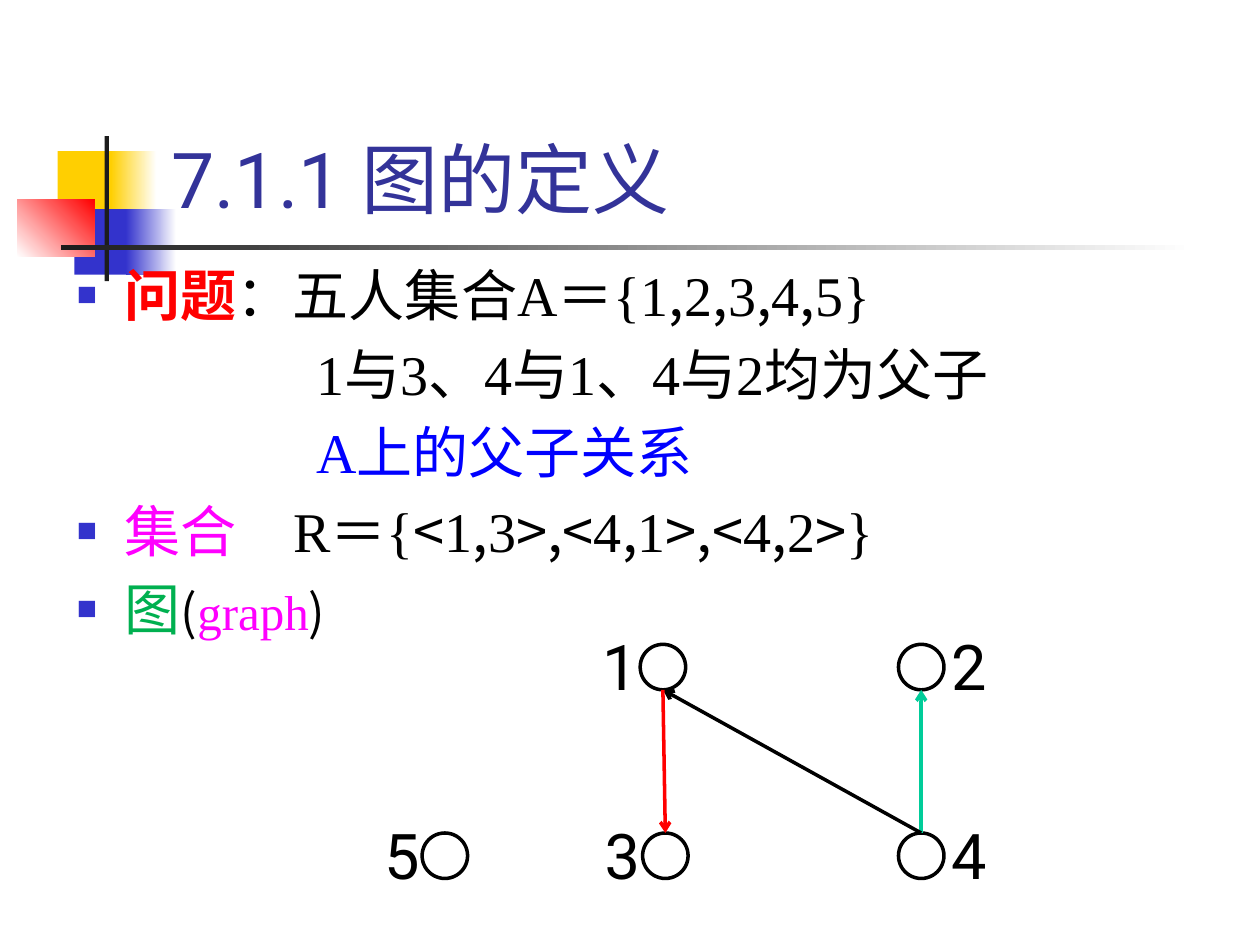
from dataclasses import dataclass
from itertools import groupby

from lxml.etree import SubElement
from pptx import Presentation
from pptx.dml.color import RGBColor
from pptx.enum.shapes import MSO_CONNECTOR, MSO_SHAPE
from pptx.enum.text import MSO_ANCHOR, MSO_AUTO_SIZE, PP_ALIGN
from pptx.oxml.ns import qn
from pptx.util import Pt


@dataclass(frozen=True)
class Theme:
    sans: str = "Roboto"
    serif: str = "Times New Roman"
    cjk: str = "Noto Sans CJK SC"
    title_size: int = 44
    label_size: int = 36
    body_size: int = 32
    small_size: int = 28
    black: str = "000000"
    white: str = "FFFFFF"
    dark: str = "1C1C1C"
    title: str = "333399"
    blue: str = "3333CC"
    yellow: str = "FFCF01"
    red: str = "FF0000"
    relation: str = "0000FF"
    magenta: str = "FF00FF"
    green: str = "00B050"
    teal: str = "00CC99"


THEME = Theme()

TITLE = "7.1.1 图的定义"
# Each line: bulleted or not, then (text, colour, size, bold) pieces
BODY = [
    (True, [("问题", THEME.red, THEME.body_size, True),
            ("：五人集合A＝{1,2,3,4,5}", THEME.black, THEME.body_size, False)]),
    (False, [("1与3、4与1、4与2均为父子", THEME.black, THEME.body_size, False)]),
    (False, [("A上的父子关系", THEME.relation, THEME.body_size, False)]),
    (True, [("集合\u3000", THEME.magenta, THEME.body_size, False),
            ("R＝{<1,3>,<4,1>,<4,2>}", THEME.black, THEME.body_size, False)]),
    (True, [("图", THEME.green, THEME.body_size, False),
            ("(", THEME.black, THEME.small_size, False),
            ("graph", THEME.magenta, THEME.small_size, False),
            (")", THEME.black, THEME.small_size, False)]),
]

# Left, top, width, height, fill colours (two make a gradient), gradient angle
ORNAMENTS = [
    (33, 86.4, 34.6, 37.4, [THEME.yellow], 0),
    (63.4, 86.4, 26, 37.4, [THEME.yellow, THEME.white], 0),
    (42.5, 119.5, 33, 37.4, [THEME.blue], 0),
    (72, 119.5, 28.8, 37.4, [THEME.blue, THEME.white], 0),
    (10, 113.8, 44, 33, [THEME.white, THEME.red], 45),
    (59.8, 77.8, 2.4, 82.8, [THEME.dark], 0),
    (34.6, 140.2, 648, 2.4, [THEME.dark, THEME.white], 0),
]

UPPER_ROW, LOWER_ROW = 368.2, 476
NODE_SIZE = 26
LABEL_OFFSET = {"left": -28.8, "right": 23}
LABEL_RISE = 13
# Node: left, top, side of its label
NODES = {
    "1": (365.8, UPPER_ROW, "left"),
    "2": (513.4, UPPER_ROW, "right"),
    "3": (367.2, LOWER_ROW, "left"),
    "4": (513.4, LOWER_ROW, "right"),
    "5": (241.2, LOWER_ROW, "left"),
}
EDGES = [("4", "2", THEME.teal), ("4", "1", THEME.black), ("1", "3", THEME.red)]

HANGING = 27.4
CONTINUATION_INDENT = 136.8


def rgb(colour):
    return RGBColor.from_string(colour)


def add_run(paragraph, text, font, size, colour, bold=False):
    run = paragraph.add_run()
    run.text = text
    run.font.name = font
    run.font.size = Pt(size)
    run.font.bold = bold
    run.font.color.rgb = rgb(colour)
    SubElement(run.font._element, qn("a:ea"), typeface=THEME.cjk)


def set_indent(paragraph, margin, first_line):
    props = paragraph._p.get_or_add_pPr()
    props.set("marL", str(Pt(margin)))
    props.set("indent", str(Pt(first_line)))
    return props


def place(shape, left, top, width, height):
    shape.left, shape.top = Pt(left), Pt(top)
    shape.width, shape.height = Pt(width), Pt(height)


def add_ornament(slide, left, top, width, height, colours, angle):
    block = slide.shapes.add_shape(
        MSO_SHAPE.RECTANGLE, Pt(left), Pt(top), Pt(width), Pt(height))
    block.shadow.inherit = False
    block.line.fill.background()
    if len(colours) == 1:
        block.fill.solid()
        block.fill.fore_color.rgb = rgb(colours[0])
        return
    block.fill.gradient()
    block.fill.gradient_angle = angle
    for stop, colour in zip(block.fill.gradient_stops, colours):
        stop.color.rgb = rgb(colour)


def fill_title(title):
    place(title, 90.7, 16.6, 613.4, 115.2)
    frame = title.text_frame
    frame.auto_size = MSO_AUTO_SIZE.NONE
    frame.vertical_anchor = MSO_ANCHOR.BOTTOM
    heading = frame.paragraphs[0]
    set_indent(heading, HANGING, -HANGING)
    heading.alignment = PP_ALIGN.LEFT
    heading.line_spacing = 2.0
    heading.space_before = Pt(0)
    add_run(heading, TITLE, THEME.sans, THEME.title_size, THEME.title)


def add_bullet(paragraph):
    props = set_indent(paragraph, HANGING, -HANGING)
    SubElement(SubElement(props, qn("a:buClr")), qn("a:srgbClr"), val=THEME.blue)
    SubElement(props, qn("a:buSzPct"), val="60000")
    SubElement(props, qn("a:buChar"), char="■")


def fill_body(body):
    place(body, 36.7, 145.4, 683.3, 394.6)
    frame = body.text_frame
    frame.auto_size = MSO_AUTO_SIZE.NONE
    for index, (bulleted, pieces) in enumerate(BODY):
        line = frame.add_paragraph() if index else frame.paragraphs[0]
        if bulleted:
            add_bullet(line)
        else:
            SubElement(set_indent(line, CONTINUATION_INDENT, 0), qn("a:buNone"))
        line.space_before = Pt(0.2 * THEME.body_size if index else 0)
        for text, colour, size, bold in pieces:
            # Separators and brackets take the CJK face, the rest the serif
            for is_mark, chars in groupby(text, lambda char: char in ",<>()"):
                font = THEME.cjk if is_mark else THEME.serif
                add_run(line, "".join(chars), font, size, colour, bold)


def add_node(slide, name, left, top, side):
    label = slide.shapes.add_textbox(
        Pt(left + LABEL_OFFSET[side]), Pt(top - LABEL_RISE), Pt(34.6), Pt(51))
    label.text_frame.word_wrap = False
    add_run(label.text_frame.paragraphs[0], name, THEME.sans,
            THEME.label_size, THEME.black)
    ring = slide.shapes.add_shape(
        MSO_SHAPE.OVAL, Pt(left), Pt(top), Pt(NODE_SIZE), Pt(NODE_SIZE))
    ring.shadow.inherit = False
    ring.fill.background()
    ring.line.color.rgb = rgb(THEME.black)
    ring.line.width = Pt(2)


def add_edge(slide, start, end, colour):
    """Join the facing top and bottom points of two nodes in different rows."""
    def port(node, other):
        left, top, _ = NODES[node]
        drop = NODE_SIZE if top < NODES[other][1] else 0
        return Pt(left + NODE_SIZE / 2), Pt(top + drop)

    edge = slide.shapes.add_connector(
        MSO_CONNECTOR.STRAIGHT, *port(start, end), *port(end, start))
    edge.line.color.rgb = rgb(colour)
    edge.line.width = Pt(2)
    SubElement(edge.line._get_or_add_ln(), qn("a:tailEnd"), type="arrow")
    SubElement(edge._element.spPr, qn("a:effectLst"))


def main():
    deck = Presentation()
    deck.slide_width, deck.slide_height = Pt(720), Pt(540)
    slide = deck.slides.add_slide(deck.slide_layouts[1])
    title, body = slide.shapes.title, slide.placeholders[1]
    for ornament in ORNAMENTS:
        add_ornament(slide, *ornament)
    fill_title(title)
    fill_body(body)
    for placeholder in (title, body):  # bring text above the ornaments
        slide.shapes._spTree.append(placeholder._element)
    for name, position in NODES.items():
        add_node(slide, name, *position)
    for edge in EDGES:
        add_edge(slide, *edge)
    deck.save("out.pptx")


if __name__ == "__main__":
    main()
